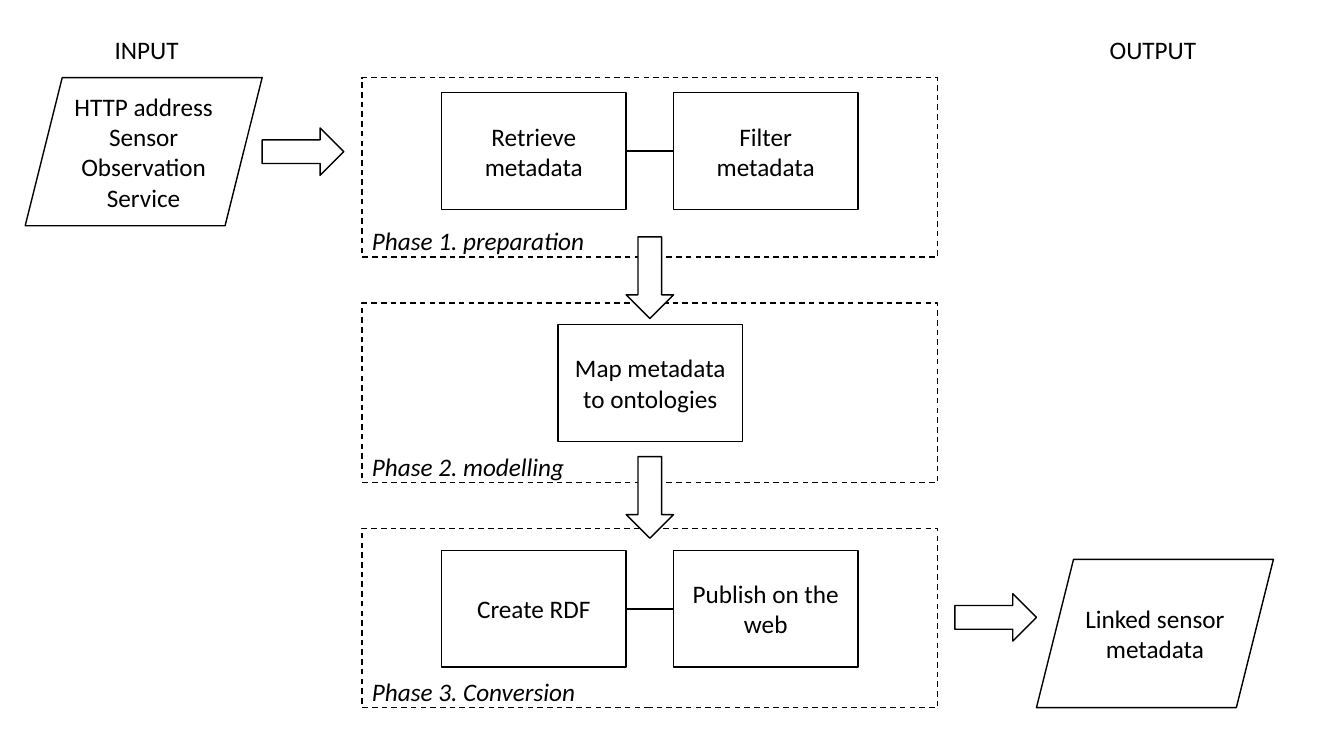
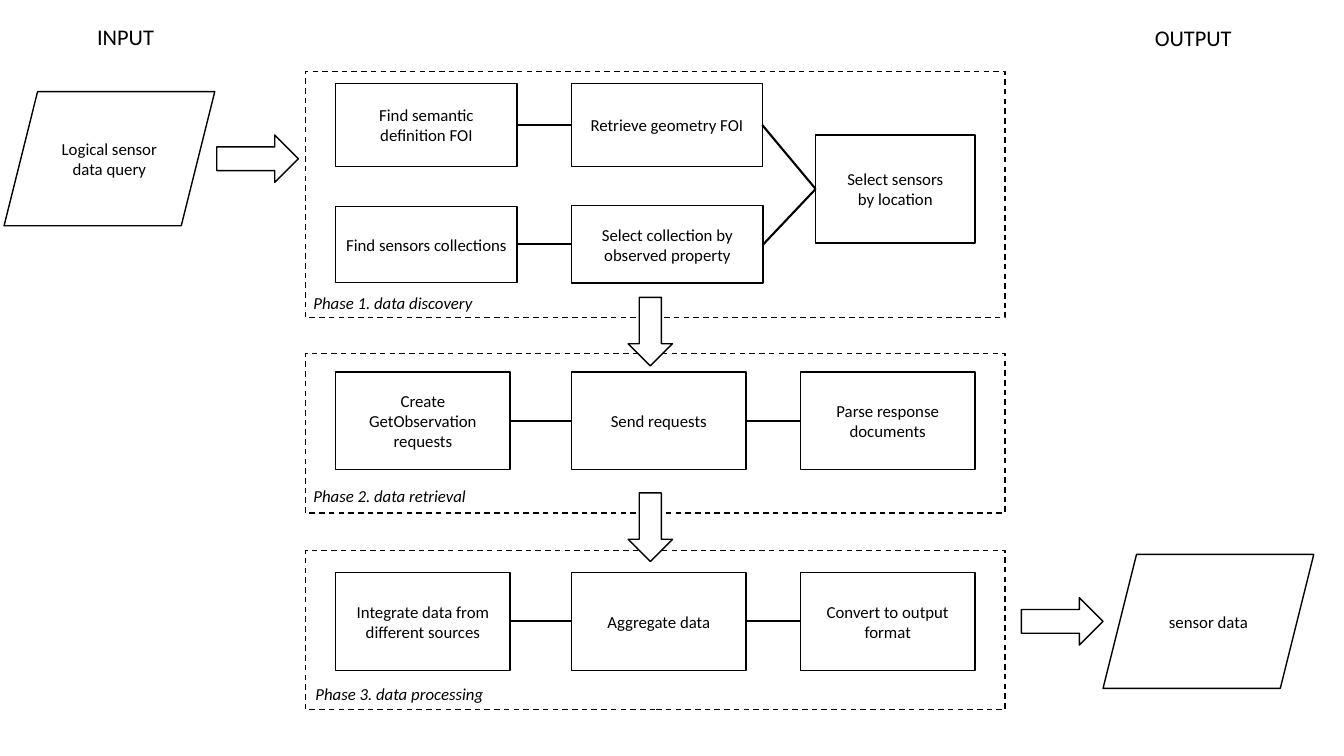
from dataclasses import dataclass
from lxml.etree import SubElement
from pptx import Presentation
from pptx.dml.color import RGBColor
from pptx.enum.dml import MSO_LINE
from pptx.enum.shapes import MSO_CONNECTOR, MSO_SHAPE
from pptx.enum.text import MSO_ANCHOR, PP_ALIGN
from pptx.oxml.ns import qn
from pptx.util import Inches, Pt


@dataclass(frozen=True)
class Theme:
    font: str = "Calibri"
    ink: RGBColor = RGBColor(0, 0, 0)
    paper: RGBColor = RGBColor(255, 255, 255)
    outline: float = 1
    link: float = 1.5


theme = Theme()
deck = Presentation()
deck.slide_width, deck.slide_height = Inches(13.33), Inches(7.5)


def write(box, text, size, align=PP_ALIGN.CENTER, italic=False):
    frame = box.text_frame
    frame.word_wrap = True
    frame.text = text
    for para in frame.paragraphs:
        para.alignment = align
        para.font.name, para.font.size = theme.font, Pt(size)
        para.font.color.rgb, para.font.italic = theme.ink, italic


def draw(page, preset, place, text="", size=12, dashed=False):
    box = page.shapes.add_shape(preset, *map(Inches, place))
    box.shadow.inherit = False
    box.line.color.rgb, box.line.width = theme.ink, Pt(theme.outline)
    if dashed:
        box.fill.background()
        box.line.dash_style = MSO_LINE.DASH
    else:
        box.fill.solid()
        box.fill.fore_color.rgb = theme.paper
    if text:
        box.text_frame.vertical_anchor = MSO_ANCHOR.MIDDLE
        write(box, text, size)
    return box


# Publishing flow: two columns around a centre line, three phases at equal pitch
step, middle, pitch = (1.83, 1.16), 6.45, 2.235
left, right, centre = middle - 2.07, middle + 0.23, middle - step[0] / 2
phase_tops = [0.77 + pitch * row for row in range(3)]
publishing = dict(
    body=18, heading=18, label_size=(2.41, 0.4),
    headings=[("INPUT", 0.25, 0.29), ("OUTPUT", 10.23, 0.29)],
    ends=[("HTTP address Sensor Observation Service", 0.25, 0.77),
          ("Linked sensor metadata", 10.28, 5.55)],
    end_size=(2.35, 1.47),
    phases=[(name, (3.59, top, 5.71, 1.78), (3.59, top + 1.42)) for name, top in zip(
        ("Phase 1. preparation", "Phase 2. modelling", "Phase 3. Conversion"), phase_tops)],
    steps=[("Retrieve metadata", (left, 0.92, *step)),
           ("Filter\nmetadata", (right, 0.92, *step)),
           ("Map metadata to ontologies", (centre, 3.22, *step)),
           ("Create RDF", (left, 5.46, *step)),
           ("Publish on the web", (right, 5.46, *step))],
    links=[(0, 1), (3, 4)],
    across=[(2.6, 1.27), (9.47, 5.89)],
    down=[(6.04, 2.52), (6.04, 4.7)], down_size=(0.81, 0.47),
)

# Query flow: three columns, the first phase with two branches that meet
columns, step = (3.33, 5.67, 7.94), (1.73, 0.97)
later_steps = [
    (3.69, ("Create GetObservation requests", "Send requests", "Parse response documents")),
    (5.68, ("Integrate data from different sources", "Aggregate data",
            "Convert to output format")),
]
query = dict(
    body=12, heading=16, label_size=(3.07, 0.3),
    headings=[("INPUT", 0.04, 0.18), ("OUTPUT", 10.63, 0.19)],
    ends=[("Logical sensor data query", 0.04, 0.91), ("sensor data", 10.94, 5.5)],
    end_size=(2.09, 1.33),
    phases=[("Phase 1. data discovery", (3.03, 0.71, 6.94, 2.44), (3.01, 2.86)),
            ("Phase 2. data retrieval", (3.03, 3.51, 6.94, 1.58), (3.01, 4.77)),
            ("Phase 3. data processing", (3.03, 5.46, 6.94, 1.58), (3.03, 6.73))],
    steps=[("Find semantic definition FOI", (columns[0], 0.83, 1.8, 0.82)),
           ("Retrieve geometry FOI", (columns[1], 0.83, 1.89, 0.82)),
           ("Find sensors collections", (columns[0], 2.05, 1.8, 0.75)),
           ("Select collection by observed property", (columns[1], 2.04, 1.9, 0.77)),
           ("Select sensors\nby location", (8.09, 1.34, 1.58, 1.07))]
          + [(name, (column, top, *step)) for top, names in later_steps
             for name, column in zip(names, columns)],
    links=[(0, 1), (1, 4), (2, 3), (3, 4), (5, 6), (6, 7), (8, 9), (9, 10)],
    across=[(2.15, 1.34), (10.13, 5.93)],
    down=[(6.11, 3.07), (6.11, 5.01)], down_size=(0.68, 0.44),
)

for flow in (publishing, query):
    page = deck.slides.add_slide(deck.slide_layouts[6])

    # Phase frames and their labels
    for name, place, corner in flow["phases"]:
        draw(page, MSO_SHAPE.RECTANGLE, place, dashed=True)
        label = page.shapes.add_textbox(*map(Inches, (*corner, *flow["label_size"])))
        write(label, name, flow["body"], PP_ALIGN.LEFT, italic=True)

    # Input and output
    for name, x, y in flow["headings"]:
        heading = page.shapes.add_textbox(*map(Inches, (x, y, 2.41, 0.4)))
        write(heading, name, flow["heading"])
    for name, x, y in flow["ends"]:
        draw(page, MSO_SHAPE.PARALLELOGRAM, (x, y, *flow["end_size"]), name, flow["body"])

    # Steps, joined from right side to left side
    boxes = [draw(page, MSO_SHAPE.RECTANGLE, place, name, flow["body"])
             for name, place in flow["steps"]]
    for start, end in flow["links"]:
        link = page.shapes.add_connector(MSO_CONNECTOR.STRAIGHT, 0, 0, 0, 0)
        link.begin_connect(boxes[start], 3)
        link.end_connect(boxes[end], 1)
        link.line.color.rgb, link.line.width = theme.ink, Pt(theme.link)
        SubElement(link._element.spPr, qn("a:effectLst"))

    # Block arrows between the parts
    for corner in flow["across"]:
        draw(page, MSO_SHAPE.RIGHT_ARROW, (*corner, 0.81, 0.47))
    for corner in flow["down"]:
        draw(page, MSO_SHAPE.RIGHT_ARROW, (*corner, *flow["down_size"])).rotation = 90

deck.save("out.pptx")
